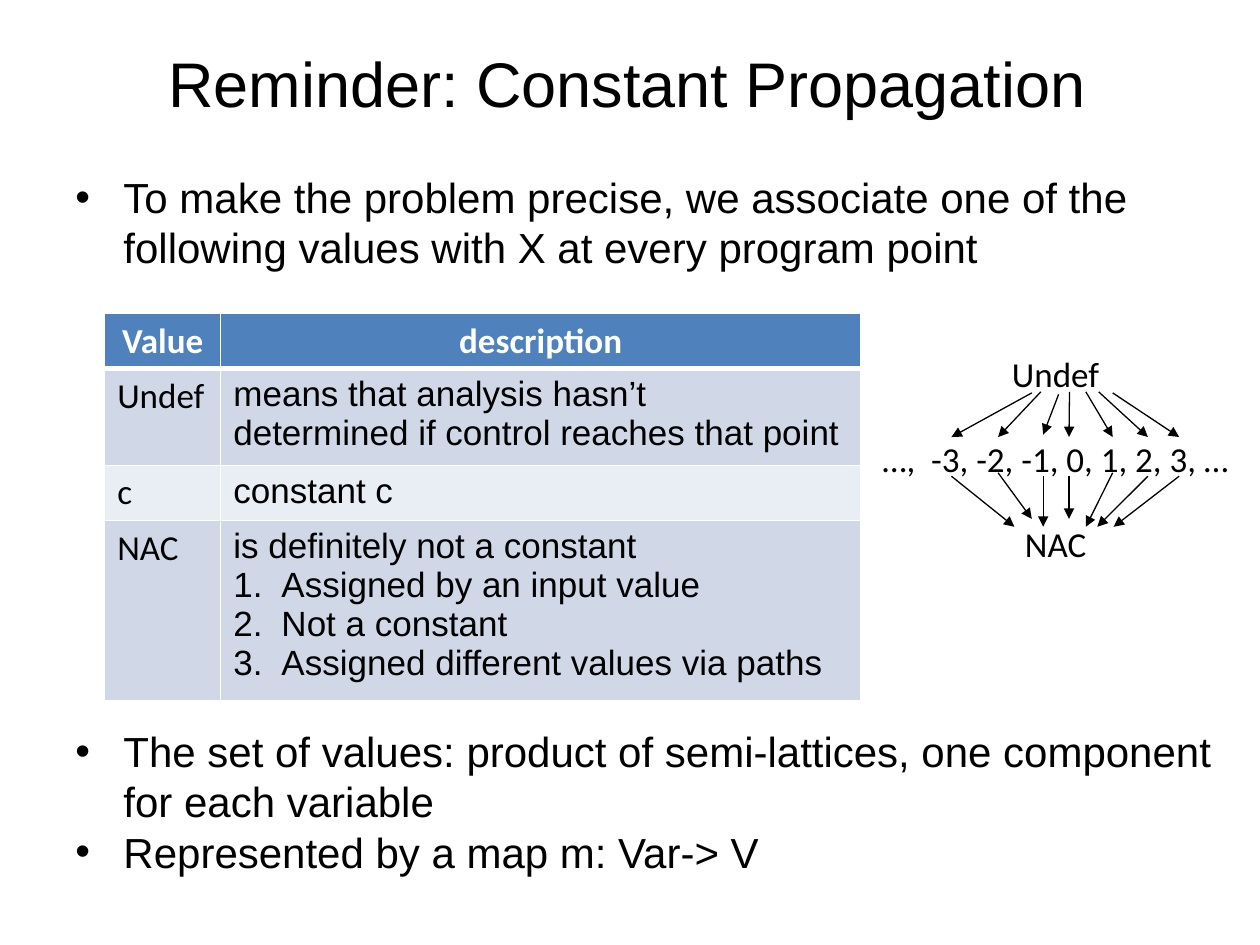
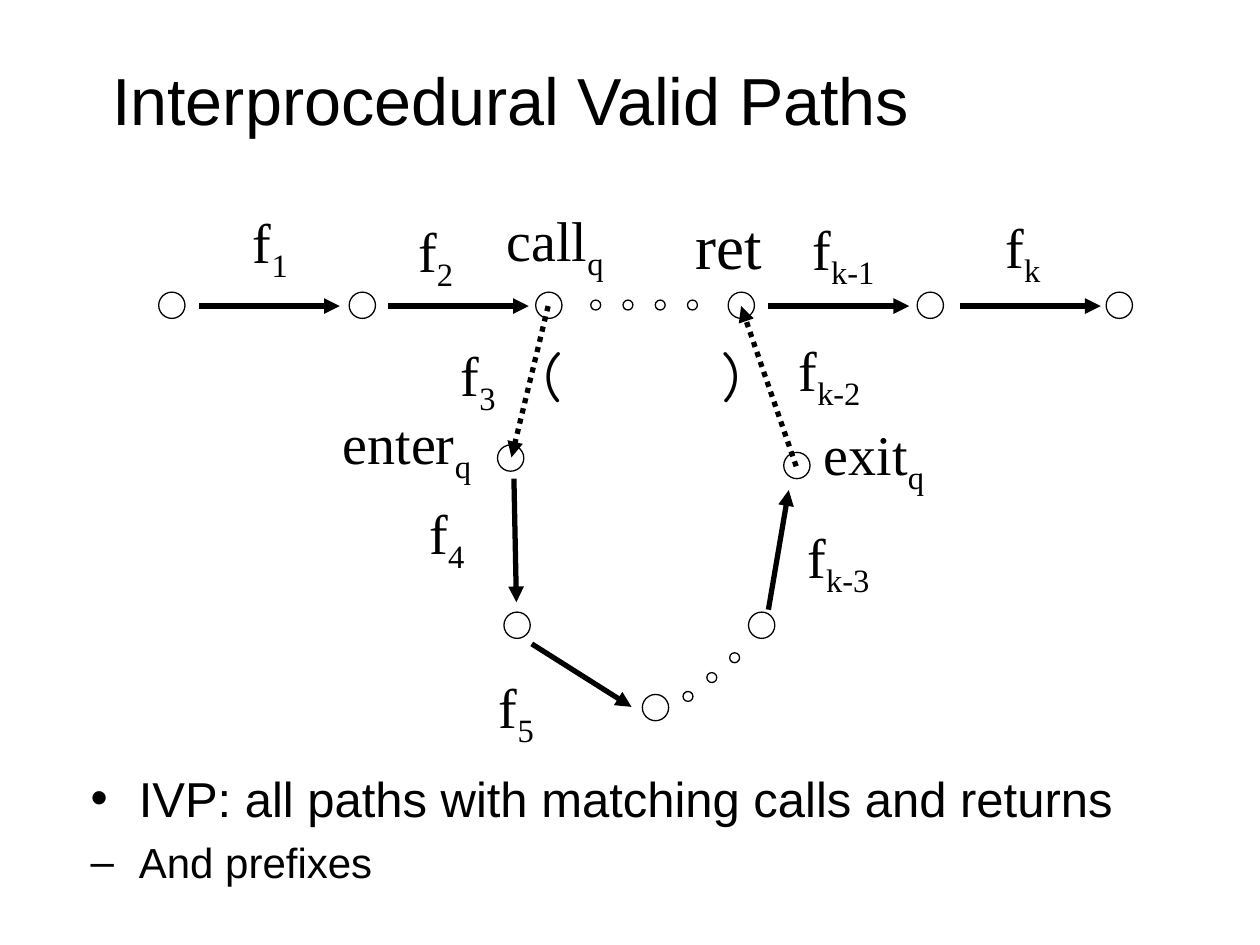
from lxml.etree import SubElement
from pptx import Presentation
from pptx.dml.color import RGBColor
from pptx.enum.dml import MSO_LINE
from pptx.enum.shapes import MSO_CONNECTOR, MSO_SHAPE
from pptx.enum.text import MSO_ANCHOR, MSO_AUTO_SIZE, PP_ALIGN
from pptx.oxml.ns import qn
from pptx.util import Cm, Pt

BLACK = RGBColor(0x00, 0x00, 0x00)
WHITE = RGBColor(0xFF, 0xFF, 0xFF)
BLUE = RGBColor(0x4F, 0x81, 0xBD)
PALE = RGBColor(0xD0, 0xD8, 0xE8)
LIGHT = RGBColor(0xE9, 0xED, 0xF4)
SANS, TABLE, SERIF, COMIC = "Arial", "Calibri", "Times New Roman", "Comic Neue"

NODE, DOT = 0.53, 0.2
HANG = 0.97
TITLE = {"margin_left": Cm(0.15), "margin_top": Cm(0.15),
         "margin_right": Cm(0.36), "margin_bottom": Cm(0.15),
         "vertical_anchor": MSO_ANCHOR.MIDDLE, "word_wrap": True}
TIGHT = {"margin_left": 0, "margin_top": 0, "margin_right": Cm(0.1),
         "margin_bottom": 0}
LABEL = {**TIGHT, "word_wrap": False,
         "auto_size": MSO_AUTO_SIZE.SHAPE_TO_FIT_TEXT}
BODY = {"word_wrap": True, "auto_size": MSO_AUTO_SIZE.SHAPE_TO_FIT_TEXT}


# Text helpers
def put(obj, vals):
    for key, val in vals.items():
        setattr(obj, key, val)


def add_run(para, text, size, face=SANS, color=BLACK, bold=False):
    run = para.add_run()
    run.text = text
    put(run.font, {"size": Pt(size), "name": face, "bold": bold})
    run.font.color.rgb = color
    return run


def indent(para, left, first=0.0):
    props = para._p.get_or_add_pPr()
    props.set("marL", str(Cm(left)))
    props.set("indent", str(Cm(first)))
    return props


def bullet(para, mark, left=HANG):
    props = indent(para, left, -HANG)
    if mark == "1.":
        SubElement(props, qn("a:buAutoNum"), type="arabicPeriod")
    else:
        SubElement(props, qn("a:buFont"), typeface=SANS)
        SubElement(props, qn("a:buChar"), char=mark)


def add_box(shapes, x, y, w, h, frame):
    text = shapes.add_textbox(Cm(x), Cm(y), Cm(w), Cm(h)).text_frame
    put(text, frame)
    return text


def add_para(frame, first, **vals):
    para = frame.paragraphs[0] if first else frame.add_paragraph()
    put(para, vals)
    return para


def add_title(shapes, text, x, w, h, size, **vals):
    frame = add_box(shapes, x, 0, w, h, TITLE)
    para = add_para(frame, True, **vals)
    indent(para, 0.1)
    add_run(para, text, size)


def add_list(shapes, x, y, w, h, frame, items, left=HANG):
    text = add_box(shapes, x, y, w, h, frame)
    for num, (mark, words, size, gap) in enumerate(items):
        para = add_para(text, num == 0, space_before=Pt(gap))
        bullet(para, mark, left)
        add_run(para, words, size)


def add_label(shapes, base, low, x, y, w, h=1.8, size=32, face=SERIF, **frame):
    text = add_box(shapes, x, y, w, h, {**LABEL, **frame})
    para = text.paragraphs[0]
    indent(para, 0.1)
    add_run(para, base, size, face)
    if low:
        run = add_run(para, low, size, face)
        run._r.get_or_add_rPr().set("baseline", "-25000")


# Drawing helpers
def add_ring(shapes, x, y, size):
    ring = shapes.add_shape(MSO_SHAPE.OVAL, Cm(x), Cm(y), Cm(size), Cm(size))
    ring.shadow.inherit = False
    ring.fill.solid()
    ring.fill.fore_color.rgb = WHITE
    ring.line.color.rgb = BLACK
    ring.line.width = Pt(0.75)


def add_arrow(shapes, x1, y1, x2, y2, width, dash=None):
    link = shapes.add_connector(MSO_CONNECTOR.STRAIGHT,
                                Cm(x1), Cm(y1), Cm(x2), Cm(y2))
    link.line.color.rgb = BLACK
    put(link.line, {"width": Pt(width), "dash_style": dash})
    SubElement(link.line._get_or_add_ln(), qn("a:tailEnd"), type="triangle")
    SubElement(link._element.spPr, qn("a:effectLst"))


# Table helpers
def add_edge(cell, side, width):
    edge = SubElement(cell._tc.get_or_add_tcPr(), qn(f"a:{side}"),
                      w=str(Pt(width)))
    fill = SubElement(edge, qn("a:solidFill"))
    SubElement(fill, qn("a:srgbClr"), val=str(WHITE))


def fill_cell(cell, row, col, lines, fill):
    head = row == 0
    for side in ("lnL", "lnR", "lnT", "lnB"):
        thick = (row, side) in ((0, "lnB"), (1, "lnT"))
        add_edge(cell, side, 3 if thick else 1)
    cell.fill.solid()
    cell.fill.fore_color.rgb = fill
    for num, line in enumerate(lines):
        para = add_para(cell.text_frame, num == 0,
                        alignment=PP_ALIGN.CENTER if head else PP_ALIGN.LEFT)
        if row == 3 and num:
            bullet(para, "1.")
        add_run(para, line, 20, TABLE if head or col == 0 else SANS,
                WHITE if head else BLACK, head)


def add_grid(shapes, x, y, cols, rows):
    table = shapes.add_table(len(rows), len(cols), Cm(x), Cm(y), Cm(sum(cols)),
                             Cm(sum(row[0] for row in rows))).table
    for col, width in enumerate(cols):
        table.columns[col].width = Cm(width)
    for row, (height, fill, name, lines) in enumerate(rows):
        table.rows[row].height = Cm(height)
        for col, words in enumerate(([name], lines)):
            fill_cell(table.cell(row, col), row, col, words, fill)


# Slide 1
def add_lattice(shapes):
    text = add_box(shapes, 17.15, 6.99, 8.26, 4.52, BODY)
    levels = ("Undef", "…,  -3, -2, -1, 0, 1, 2, 3, …", "NAC")
    for num, level in enumerate(levels):
        para = add_para(text, num == 0, alignment=PP_ALIGN.CENTER,
                        space_before=Pt(24.4 if num else 0))
        add_run(para, level, 20, TABLE)
    # value x, arrow from Undef (x, y, end y), arrow to NAC (y, x, end y)
    fans = [
        (19.18, 20.8, 7.92, 8.81, 9.6, 20.45, 10.62),
        (20.12, 20.98, 7.9, 8.81, 9.53, 20.8, 10.46),
        (21.03, 21.34, 7.95, 8.76, 9.6, 21.03, 10.62),
        (21.55, 21.56, 7.9, 8.81, 9.6, 21.55, 10.46),
        (22.43, 21.89, 7.9, 8.81, 9.53, 21.89, 10.62),
        (23.14, 22.15, 7.9, 8.81, 9.6, 22.12, 10.62),
        (23.77, 22.43, 7.92, 8.81, 9.6, 22.45, 10.62),
    ]
    for x, top, y1, y2, y3, low, y4 in fans:
        add_arrow(shapes, top, y1, x, y2, 0.75)
        add_arrow(shapes, x, y3, low, y4, 0.75)


def make_reminder(shapes):
    add_title(shapes, "Reminder: Constant Propagation", 1.27, 22.86, 3.33, 36,
              alignment=PP_ALIGN.CENTER)
    add_grid(shapes, 2.11, 6.32, (2.34, 12.9), [
        (1.11, BLUE, "Value", ["description"]),
        (1.83, PALE, "Undef", ["means that analysis hasn’t",
                               "determined if control reaches that point"]),
        (1.11, LIGHT, "c", ["constant c"]),
        (3.4, PALE, "NAC", ["is definitely not a constant",
                            "Assigned by an input value",
                            "Not a constant",
                            "Assigned different values via paths"]),
    ])
    add_lattice(shapes)
    add_list(shapes, 1.27, 3.33, 24.13, 2.3, BODY, [
        ("•", "To make the problem precise, we associate one of the "
              "following values with X at every program point", 24, 0)])
    add_list(shapes, 1.27, 14.5, 24.13, 3.3, BODY, [
        ("•", "The set of values: product of semi-lattices, one component "
              "for each variable", 24, 0),
        ("•", "Represented by a map m: Var-> V", 24, 0)])


# Slide 2
def add_graph(shapes):
    for x in (3.2, 7.04, 10.8, 14.68, 18.49, 22.3):
        add_ring(shapes, x, 5.89, NODE)
    for x in (4.01, 7.82, 15.49, 19.35):
        add_arrow(shapes, x, 6.17, x + 2.84, 6.17, 3)
    dots = shapes.add_group_shape().shapes
    for step in range(4):
        add_ring(dots, 11.91 + step * 0.65, 6.05, DOT)
    # Called procedure
    for x, y in ((10.03, 8.97), (15.09, 12.34), (10.16, 12.34),
                 (12.95, 14), (15.8, 9.12)):
        add_ring(shapes, x, y, NODE)
    for ends in ((15.49, 12.29, 15.9, 9.88), (10.72, 12.98, 12.73, 14.25),
                 (10.36, 9.65, 10.41, 12.14)):
        add_arrow(shapes, *ends, 3)
    for x, y in ((13.77, 13.94), (14.25, 13.56), (14.71, 13.16)):
        add_ring(shapes, x, y, DOT)
    # Call and return
    for ends in ((11.05, 6.17, 10.31, 9.22), (16.05, 9.4, 14.94, 6.17)):
        add_arrow(shapes, *ends, 3, MSO_LINE.ROUND_DOT)


def make_paths(shapes):
    add_title(shapes, "Interprocedural Valid Paths", 2.01, 21.46, 4.19, 38,
              line_spacing=0.9)
    add_graph(shapes)
    pair = shapes.add_group_shape().shapes
    for sign, x in (("(", 10.85), (")", 14.45)):
        add_label(pair, sign, "", x, 6.63, 0.84, 1.83, face=COMIC,
                  vertical_anchor=MSO_ANCHOR.MIDDLE)
    for base, low, x, y, w in (
            ("f", "1", 5, 4.19, 1.19), ("f", "2", 8.33, 4.37, 1.19),
            ("f", "k-1", 16.28, 4.32, 1.75), ("f", "k", 20.17, 4.29, 1.14),
            ("f", "3", 9.19, 6.86, 1.19), ("f", "4", 8.56, 10.06, 1.19),
            ("f", "5", 9.96, 13.56, 1.19), ("f", "k-2", 16, 6.76, 1.75),
            ("f", "k-3", 16.18, 10.54, 1.75), ("call", "q", 10.11, 4.14, 2.49),
            ("enter", "q", 6.81, 8.23, 3.12), ("exit", "q", 16.51, 8.46, 2.44)):
        add_label(shapes, base, low, x, y, w)
    add_label(shapes, "ret", "", 13.92, 4.17, 1.78, 1.7, 36)
    add_list(shapes, 1.73, 15.49, 21.51, 2.57, {**TIGHT, "word_wrap": True}, [
        ("•", "IVP: all paths with matching calls and returns", 28, 0),
        ("–", "And prefixes", 24, 5.5)], 1.07)


def main():
    deck = Presentation()
    put(deck, {"slide_width": Cm(25.4), "slide_height": Cm(19.05)})
    for make in (make_reminder, make_paths):
        make(deck.slides.add_slide(deck.slide_layouts[6]).shapes)
    deck.save("out.pptx")


if __name__ == "__main__":
    main()
